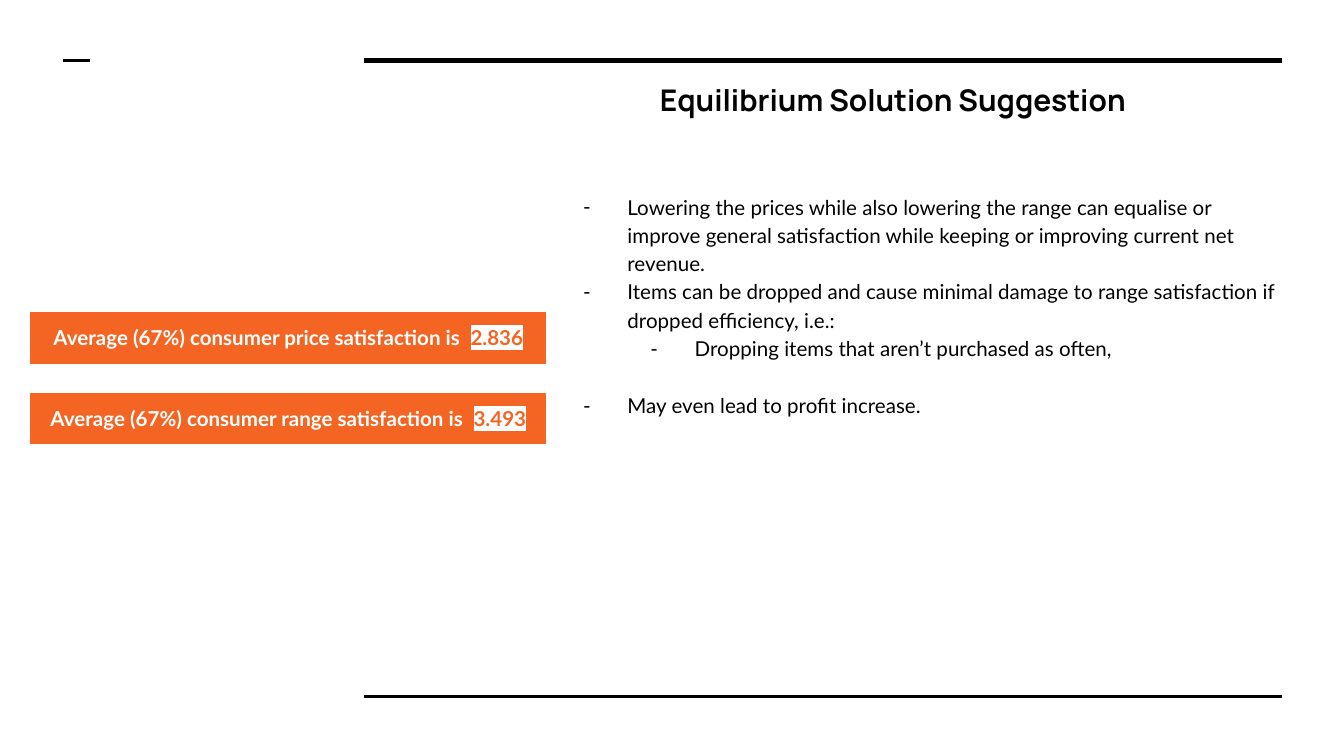
import pptx
import pptx.util
import pptx.dml.color
import pptx.enum.shapes
import pptx.enum.text
import pptx.oxml.ns
from lxml import etree

Pt = pptx.util.Pt
ANCHOR = pptx.enum.text.MSO_ANCHOR
ALIGN = pptx.enum.text.PP_ALIGN
BLACK, WHITE, ORANGE = "000000", "FFFFFF", "F46524"
COLS = 100  # grid cells of a tenth of an inch
ROWS = COLS * 9 / 16

POINTS = [  # level, blank lines above, text
    (0, 0, "Lowering the prices while also lowering the range can equalise or "
           "improve general satisfaction while keeping or improving current net revenue."),
    (0, 0, "Items can be dropped and cause minimal damage to range satisfaction "
           "if dropped efficiency, i.e.:"),
    (1, 0, "Dropping items that aren’t purchased as often,"),
    (0, 1, "May even lead to profit increase."),
]
SCORES = [("price", "2.836"), ("range", "3.493")]


def cell(n):
    return pptx.util.Inches(n / 10)


def rgb(code):
    return pptx.dml.color.RGBColor.from_string(code)


def add(parent, tag, **attrs):
    return etree.SubElement(parent, pptx.oxml.ns.qn(tag), attrs)


def style(run, size, face, color, bold=False):
    font = run.font
    font.size, font.name, font.bold = Pt(size), face, bold
    font.color.rgb = rgb(color)


def frame(shape):
    """Set even margins, wrapping and a top anchor for a shape's text."""
    text = shape.text_frame
    text.margin_left = text.margin_right = cell(1)
    text.margin_top = text.margin_bottom = cell(1)
    text.word_wrap, text.vertical_anchor = True, ANCHOR.TOP
    text.auto_size = pptx.enum.text.MSO_AUTO_SIZE.NONE
    return text


def rule(slide, left, right, y, width):
    line = slide.shapes.add_connector(
        pptx.enum.shapes.MSO_CONNECTOR.STRAIGHT,
        cell(left), cell(y), cell(right), cell(y))
    line.line.color.rgb, line.line.width = rgb(BLACK), Pt(width)
    add(line.element.spPr, "a:effectLst")


def rules(slide, box):
    """Draw the short mark and the thick and thin edges of the content."""
    left, top, wide, high = box
    mid, right = left + 22.4, left + wide
    rule(slide, mid, right, top, 3)
    rule(slide, mid, right, top + high, 1.5)
    rule(slide, left, left + 2, top, 1.5)


def title(slide, box):
    shape = slide.shapes.title
    shape.left, shape.top, shape.width, shape.height = map(cell, box)
    text = frame(shape)
    text.text = "Equilibrium Solution Suggestion"
    par = text.paragraphs[0]
    par.alignment = ALIGN.LEFT
    style(par.runs[0], 16, "Manrope", BLACK, True)


def dash(par, level):
    """Give a paragraph a hanging dash at its level."""
    props = par._p.get_or_add_pPr()
    props.set("marL", str(cell(5 * (level + 1))))
    props.set("indent", str(cell(-3.3)))
    add(add(props, "a:buClr"), "a:srgbClr", val=BLACK)
    add(props, "a:buFont", typeface="Lato")
    add(props, "a:buChar", char="-")


def points(slide, box):
    text = frame(slide.shapes.add_textbox(*map(cell, box)))
    for i, (level, gap, words) in enumerate(POINTS):
        par = text.add_paragraph() if i else text.paragraphs[0]
        par.text, par.level = words, level
        par.line_spacing, par.space_before = 1.15, Pt(15.2 * gap)
        dash(par, level)
        style(par.runs[0], 11, "Lato", BLACK)


def score(slide, box, topic, value):
    """Draw one orange bar with its value highlighted."""
    bar = slide.shapes.add_shape(
        pptx.enum.shapes.MSO_SHAPE.RECTANGLE, *map(cell, box))
    bar.shadow.inherit = False
    bar.fill.solid()
    bar.fill.fore_color.rgb = rgb(ORANGE)
    bar.line.color.rgb, bar.line.width = rgb(WHITE), Pt(0.75)
    par = frame(bar).paragraphs[0]
    par.text = f"Average (67%) consumer {topic} satisfaction is  "
    par.alignment = ALIGN.CENTER
    style(par.runs[0], 11, "Lato", WHITE, True)
    run = par.add_run()
    run.text = value
    style(run, 11, "Lato", ORANGE, True)
    props = run.font._element
    light = add(props, "a:highlight")
    add(light, "a:srgbClr", val=WHITE)
    props.find(pptx.oxml.ns.qn("a:solidFill")).addnext(light)


def scores(slide, box):
    """Spread the bars evenly from the top to the bottom of the box."""
    left, top, wide, high = box
    tall = 3.9
    step = (high - tall) / (len(SCORES) - 1)
    for i, (topic, value) in enumerate(SCORES):
        score(slide, (left, top + i * step, wide, tall), topic, value)


def main():
    deck = pptx.Presentation()
    deck.slide_width, deck.slide_height = cell(COLS), cell(ROWS)
    slide = deck.slides.add_slide(deck.slide_layouts[5])
    rules(slide, (4.7, 4.5, 90.7, 47.3))
    title(slide, (48.1, 5.1, 47.4, 7.4))
    points(slide, (40.7, 13.2, 56.1, 32.1))
    scores(slide, (2.2, 23.2, 38.5, 9.9))
    deck.save("out.pptx")


if __name__ == "__main__":
    main()
